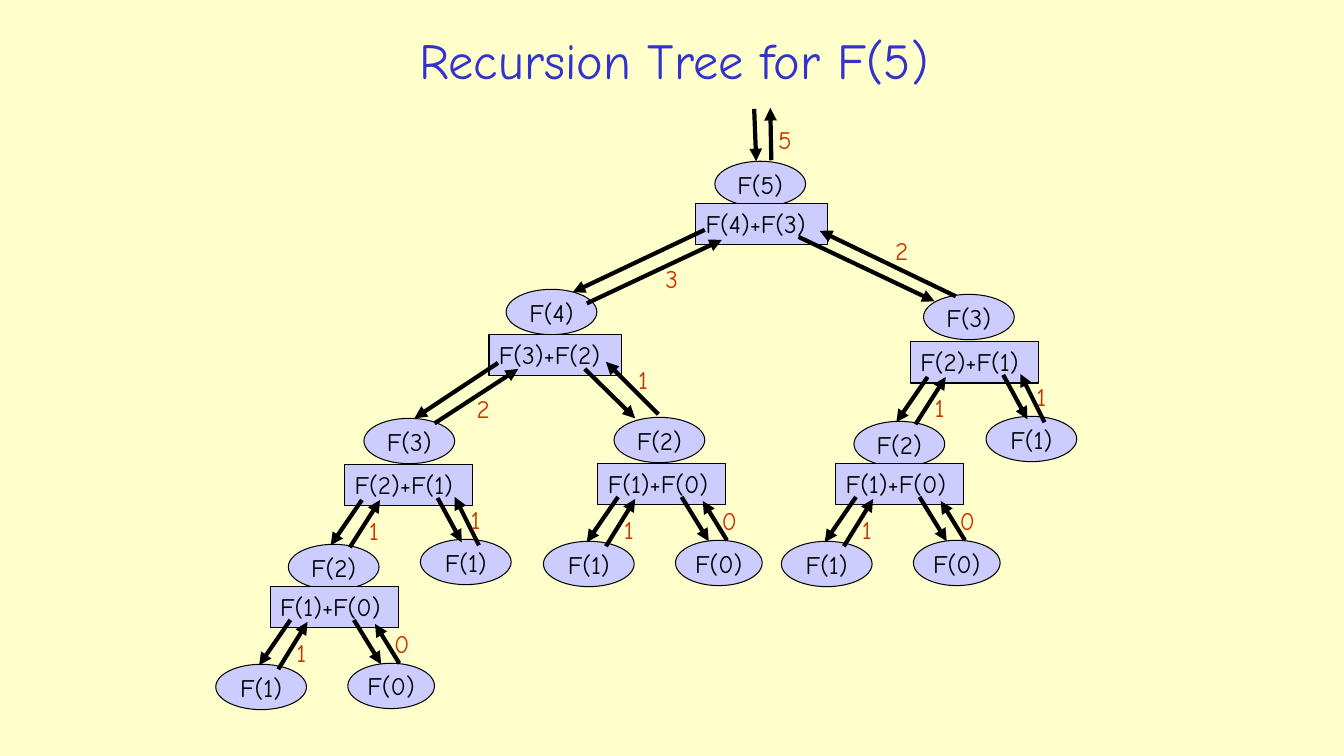
from typing import NamedTuple, Optional

from lxml.etree import SubElement
from pptx import Presentation
from pptx.dml.color import RGBColor
from pptx.enum.shapes import MSO_CONNECTOR as CONN, MSO_SHAPE as SHAPE
from pptx.enum.text import MSO_ANCHOR as ANCHOR, PP_ALIGN as ALIGN
from pptx.oxml.ns import qn
from pptx.util import Pt

PX = 9144
FONT = "Comic Neue"
COLORS = {
    "background": "FFFFCC",
    "title": "3333CC",
    "node": "CCCCFF",
    "ink": "000000",
    "value": "CC3300",
}


class Branch(NamedTuple):
    """Offsets of one call's parts from the sum box that makes the call."""
    oval: tuple
    call: tuple
    answer: tuple
    value: tuple
    box: Optional[tuple] = None


ROOT = Branch((709, 160), (748, 108, 750, 160), (765, 159, 764, 107), (762, 118), (690, 202))
BRANCHES = {
    5: (
        Branch((-188, 85), (9, 26, -122, 88), (-108, 99, 26, 36), (-40, 54), (-205, 130)),
        Branch((226, 90), (102, 33, 237, 97), (258, 92, 123, 27), (188, 27), (213, 137)),
    ),
    4: (
        Branch((-124, 83), (9, 28, -74, 83), (-54, 88, 29, 34), (-22, 53), (-143, 129)),
        Branch((124, 82), (95, 34, 145, 83), (168, 79, 116, 27), (138, 25), (108, 128)),
    ),
    3: (
        Branch((-56, 79), (17, 35, -14, 80), (5, 82, 35, 35), (14, 45), (-74, 121)),
        Branch((75, 74), (92, 33, 116, 77), (133, 80, 109, 32), (115, 34)),
    ),
    2: (
        Branch((-54, 77), (20, 33, -11, 78), (8, 82, 37, 35), (16, 45)),
        Branch((77, 76), (83, 33, 110, 77), (128, 76, 104, 37), (113, 36)),
    ),
}


def rgb(name):
    """Look up a named colour."""
    return RGBColor.from_string(COLORS[name])


def shift(origin, points):
    """Move x, y pairs by the origin and scale them to EMU."""
    return [(v + origin[i % 2]) * PX for i, v in enumerate(points)]


def write(s, text, size, color, align=ALIGN.LEFT, anchor=ANCHOR.TOP, wrap=True):
    """Put one styled line of text in a shape."""
    tf = s.text_frame
    tf.word_wrap = wrap
    tf.vertical_anchor = anchor
    p = tf.paragraphs[0]
    p.text = text
    p.alignment = align
    p.font.name = FONT
    p.font.size = Pt(size)
    p.font.color.rgb = rgb(color)


def add_node(slide, kind, origin, offset, width, height):
    """Add a filled, outlined shape of the tree."""
    s = slide.shapes.add_shape(kind, *shift(origin, offset), width * PX, height * PX)
    s.shadow.inherit = False
    s.fill.solid()
    s.fill.fore_color.rgb = rgb("node")
    s.line.color.rgb = rgb("ink")
    s.line.width = Pt(0.75)
    return s


def add_arrow(slide, origin, ends):
    """Add a thick arrow that points to its second end."""
    s = slide.shapes.add_connector(CONN.STRAIGHT, *shift(origin, ends))
    s.line.color.rgb = rgb("ink")
    s.line.width = Pt(3)
    SubElement(s.line._get_or_add_ln(), qn("a:tailEnd"), type="triangle")
    SubElement(s._element.spPr, qn("a:effectLst"))


def add_text(slide, text, origin, offset, width, height, size, color, **layout):
    """Add a text box."""
    s = slide.shapes.add_textbox(*shift(origin, offset), width * PX, height * PX)
    write(s, text, size, color, **layout)


def add_call(slide, n, origin, branch):
    """Draw the call F(n) with all calls below it and return its value."""
    s = add_node(slide, SHAPE.OVAL, origin, branch.oval, 90 if n else 86, 45)
    write(s, f"F({n})", 18, "ink", ALIGN.CENTER, ANCHOR.MIDDLE, False)
    add_arrow(slide, origin, branch.call)
    add_arrow(slide, origin, branch.answer)
    value = n
    if branch.box:
        s = add_node(slide, SHAPE.RECTANGLE, origin, branch.box, 131 if n > 3 else 127, 41)
        write(s, f"F({n - 1})+F({n - 2})", 18, "ink")
        corner = (origin[0] + branch.box[0], origin[1] + branch.box[1])
        value = sum(add_call(slide, n - i, corner, b) for i, b in enumerate(BRANCHES[n], 1))
    add_text(slide, str(value), origin, branch.value, 35, 40, 18, "value")
    return value


def main():
    """Build the slide and save it."""
    prs = Presentation()
    prs.slide_width, prs.slide_height = 1333 * PX, 750 * PX
    slide = prs.slides.add_slide(prs.slide_layouts[6])
    slide.background.fill.solid()
    slide.background.fill.fore_color.rgb = rgb("background")
    add_text(slide, "Recursion Tree for F(5)", (0, 0), (190, 24), 957, 70, 36, "title",
             align=ALIGN.CENTER, anchor=ANCHOR.MIDDLE)
    add_call(slide, 5, (0, 0), ROOT)
    prs.save("out.pptx")


if __name__ == "__main__":
    main()
